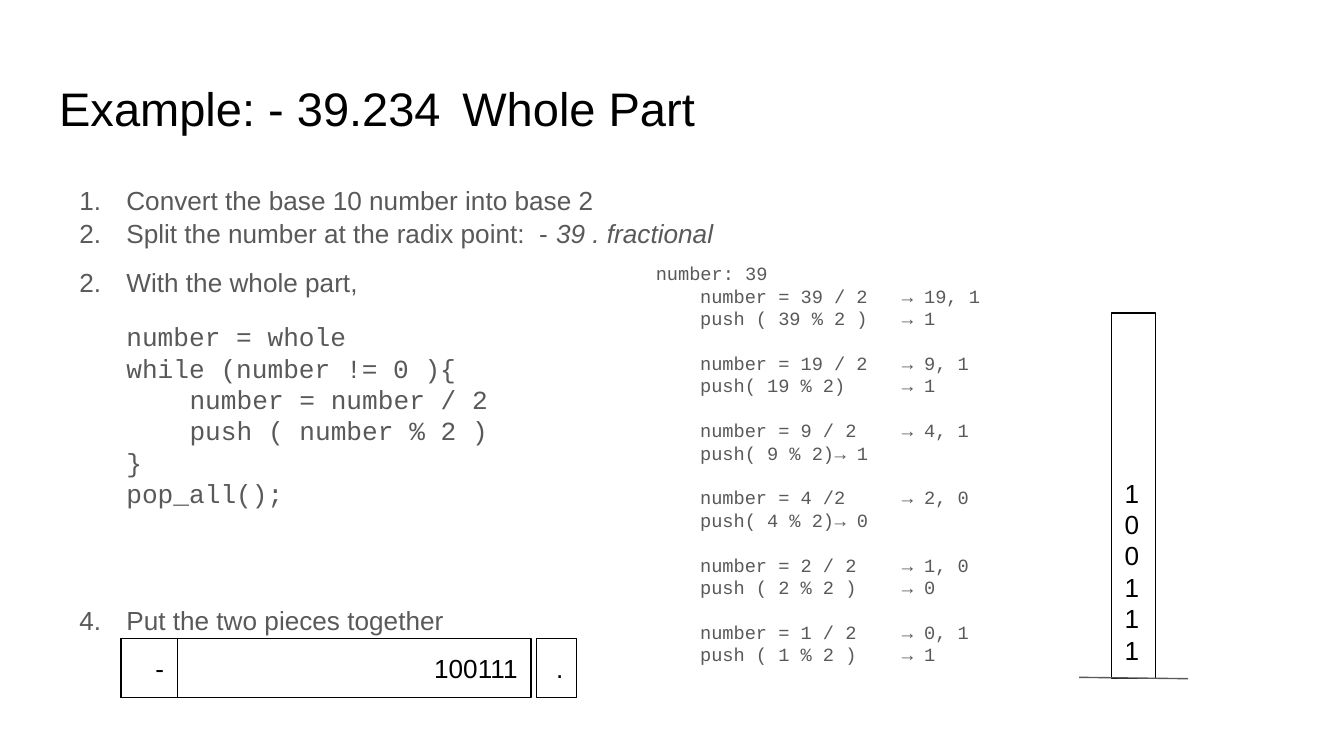
from dataclasses import dataclass
from typing import Optional

from lxml.etree import SubElement
from pptx import Presentation
from pptx.dml.color import RGBColor
from pptx.enum.shapes import MSO_CONNECTOR, MSO_SHAPE
from pptx.enum.text import MSO_ANCHOR, MSO_AUTO_SIZE, PP_ALIGN
from pptx.oxml.ns import qn
from pptx.util import Inches, Pt

BLACK = RGBColor(0x00, 0x00, 0x00)
GREY = RGBColor(0x59, 0x59, 0x59)
SANS = "Arial"
MONO = "Courier New"
WIDTH = Inches(10)
HEIGHT = Inches(5.625)


@dataclass(frozen=True)
class Area:
    """Percentages of the slide's width and height."""
    left: float
    top: float
    width: float
    height: float


@dataclass(frozen=True)
class Line:
    text: str
    italic: str = ""
    font: str = SANS
    size: float = 14
    color: RGBColor = GREY
    number: Optional[int] = None
    margin: float = 0
    before: float = 0
    spacing: float = 1.0
    tab: Optional[float] = None


@dataclass(frozen=True)
class Cell:
    area: Area
    text: str
    align: PP_ALIGN = PP_ALIGN.RIGHT


def step(text: str, number: int, italic: str = "", before: float = 0,
         spacing: float = 1.05) -> Line:
    return Line(text, italic, number=number, margin=0.5, before=before, spacing=spacing)


def code(text: str, margin: float = 0.5, before: float = 0) -> Line:
    return Line(text, font=MONO, margin=margin, before=before)


def trace(text: str, before: float = 12) -> Line:
    return Line(text, font=MONO, size=10, margin=0.33, before=before, tab=2)


TITLE_AREA = Area(3.4, 8.71, 93.2, 11.2)
TITLE = [Line("Example: - 39.234\tWhole Part", size=25.2, color=BLACK, tab=6.77)]

STEPS_AREA = Area(3.4, 22.4, 91, 66.5)
STEPS = [
    step("Convert the base 10 number into base 2", 1),
    step("Split the number at the radix point:  - ", 1, italic="39 . fractional"),
    step("Put the two pieces together", 4, before=190),
]

CODE_AREA = Area(3.4, 32.89, 43.7, 53)
CODE = [
    step("With the whole part,", 2, spacing=1.15),
    code("number = whole", before=12),
    code("while (number != 0 ){"),
    code("number = number / 2", margin=0.97),
    code("push ( number % 2 )", margin=0.97),
    code("}"),
    code("pop_all();"),
]

TRACE_AREA = Area(47.8, 32.89, 33.8, 53)
TRACE = [
    Line("number: 39", font=MONO, size=10),
    trace("number = 39 / 2\t→ 19, 1\vpush ( 39 % 2 )\t→ 1", before=0),
    trace("number = 19 / 2\t→ 9, 1\vpush( 19 % 2)\t→ 1"),
    trace("number = 9 / 2\t→ 4, 1\vpush( 9 % 2)\t→ 1"),
    trace("number = 4 /2\t→ 2, 0\vpush( 4 % 2)\t→ 0"),
    trace("number = 2 / 2\t→ 1, 0\vpush ( 2 % 2 )\t→ 0"),
    trace("number = 1 / 2\t→ 0, 1\vpush ( 1 % 2 )\t→ 1"),
]

RESULT_TOP, RESULT_HEIGHT = 84.44, 7.82
CELLS = [
    Cell(Area(82.7, 41.42, 3.3, 48.36), "100111", PP_ALIGN.LEFT),
    Cell(Area(9, RESULT_TOP, 30.5, RESULT_HEIGHT), "100111"),
    Cell(Area(39.9, RESULT_TOP, 3, RESULT_HEIGHT), "."),
    Cell(Area(9, RESULT_TOP, 4.2, RESULT_HEIGHT), "-"),
]


def across(share: float) -> int:
    return round(WIDTH * share / 100)


def down(share: float) -> int:
    return round(HEIGHT * share / 100)


def place(box, area: Area) -> None:
    box.left, box.top = across(area.left), down(area.top)
    box.width, box.height = across(area.width), down(area.height)


def prepare_frame(frame, anchor: MSO_ANCHOR) -> None:
    frame.word_wrap = True
    frame.auto_size = MSO_AUTO_SIZE.NONE
    frame.vertical_anchor = anchor
    frame.margin_left = frame.margin_right = Inches(0.1)
    frame.margin_top = frame.margin_bottom = Inches(0.1)


def format_font(para, name: str, size: float, color: RGBColor) -> None:
    para.font.name = name
    para.font.size = Pt(size)
    para.font.bold = False
    para.font.color.rgb = color


def set_indents(para, line: Line) -> None:
    properties = para._p.get_or_add_pPr()
    numbered = line.number is not None
    properties.set("marL", str(Inches(line.margin)))
    properties.set("indent", str(Inches(-0.35 if numbered else 0)))
    if numbered:
        tint = SubElement(properties, qn("a:buClr"))
        SubElement(tint, qn("a:srgbClr"), val=str(line.color))
        SubElement(properties, qn("a:buFont"), typeface=line.font)
        SubElement(properties, qn("a:buAutoNum"), type="arabicPeriod",
                   startAt=str(line.number))
    else:
        SubElement(properties, qn("a:buNone"))
    if line.tab is not None:
        stops = SubElement(properties, qn("a:tabLst"))
        SubElement(stops, qn("a:tab"), pos=str(Inches(line.tab)), algn="l")


def fill_placeholder(box, area: Area, lines: list[Line]) -> None:
    place(box, area)
    frame = box.text_frame
    prepare_frame(frame, MSO_ANCHOR.TOP)
    for index, line in enumerate(lines):
        para = frame.add_paragraph() if index else frame.paragraphs[0]
        para.text = line.text
        set_indents(para, line)
        para.alignment = PP_ALIGN.LEFT
        para.line_spacing = line.spacing
        para.space_before = Pt(line.before)
        para.space_after = Pt(0)
        format_font(para, line.font, line.size, line.color)
        if line.italic:
            span = para.add_run()
            span.text = line.italic
            span.font.italic = True


def draw_cell(page, cell: Cell) -> None:
    box = page.shapes.add_shape(MSO_SHAPE.RECTANGLE, 0, 0, 0, 0)
    place(box, cell.area)
    box.shadow.inherit = False
    box.fill.background()
    box.line.color.rgb = BLACK
    box.line.width = Pt(0.75)
    prepare_frame(box.text_frame, MSO_ANCHOR.BOTTOM)
    para = box.text_frame.paragraphs[0]
    para.text = cell.text
    para.alignment = cell.align
    format_font(para, SANS, 14, BLACK)


def draw_stack_base(page) -> None:
    base = page.shapes.add_connector(MSO_CONNECTOR.STRAIGHT, across(88.4), down(89.78),
                                     across(80.3), down(89.6))
    base.line.color.rgb = GREY
    base.line.width = Pt(0.75)
    SubElement(base._element.spPr, qn("a:effectLst"))


def main() -> None:
    deck = Presentation()
    deck.slide_width, deck.slide_height = WIDTH, HEIGHT
    page = deck.slides.add_slide(deck.slide_layouts[4])
    title, steps, listing, tracing, spare = page.placeholders
    spare._element.getparent().remove(spare._element)
    fill_placeholder(title, TITLE_AREA, TITLE)
    fill_placeholder(steps, STEPS_AREA, STEPS)
    fill_placeholder(listing, CODE_AREA, CODE)
    fill_placeholder(tracing, TRACE_AREA, TRACE)
    for cell in CELLS:
        draw_cell(page, cell)
    draw_stack_base(page)
    deck.save("out.pptx")


if __name__ == "__main__":
    main()
